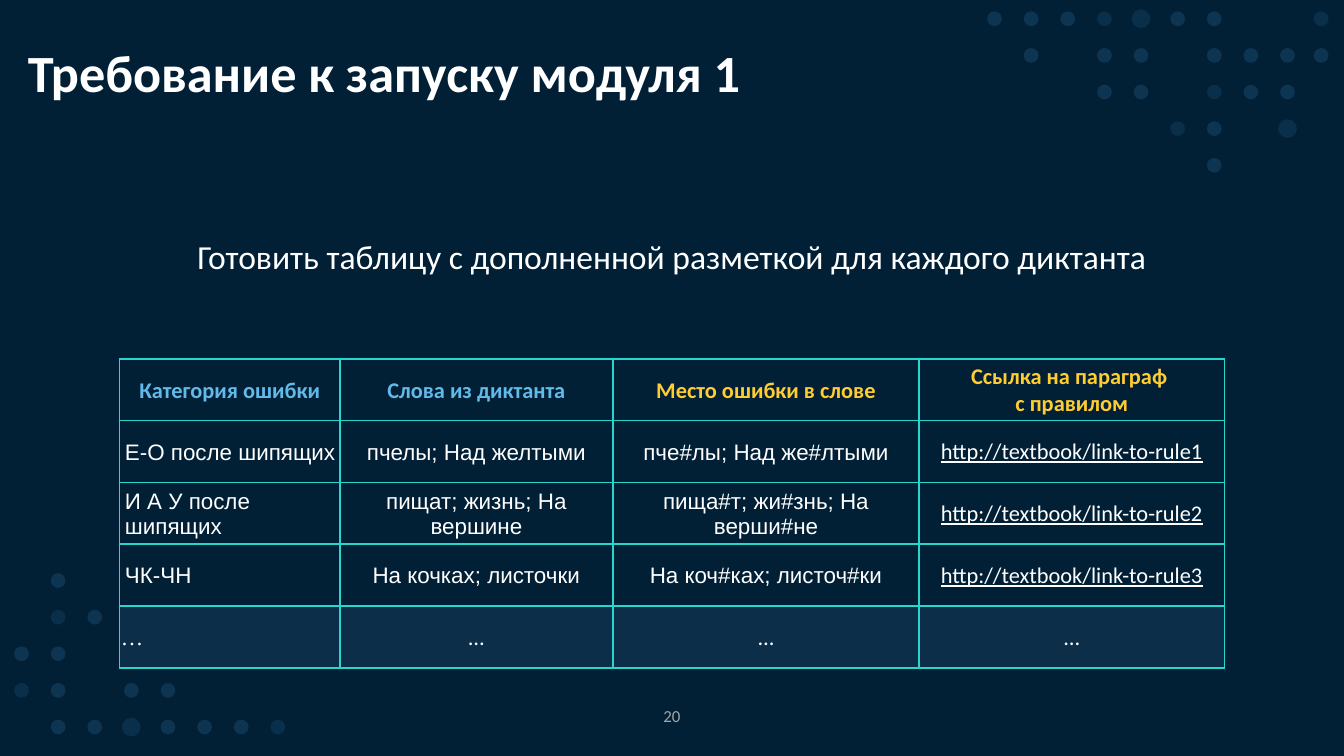
"""Build the slide on the launch requirement of module 1."""
from lxml import etree
from pptx import Presentation
from pptx.dml.color import RGBColor
from pptx.enum.shapes import MSO_SHAPE
from pptx.enum.text import MSO_ANCHOR, PP_ALIGN
from pptx.oxml import parse_xml
from pptx.oxml.ns import nsdecls, qn
from pptx.util import Inches, Pt

OVAL = MSO_SHAPE.OVAL
LEFT, CENTER = PP_ALIGN.LEFT, PP_ALIGN.CENTER
TOP, MIDDLE, BOTTOM = MSO_ANCHOR.TOP, MSO_ANCHOR.MIDDLE, MSO_ANCHOR.BOTTOM

NAVY = RGBColor(0x01, 0x20, 0x36)
BAND = RGBColor(0x0D, 0x2E, 0x49)
DOT = RGBColor(0x5C, 0xB5, 0xFF)
BLUE = RGBColor(0x62, 0xBA, 0xE9)
GOLD = RGBColor(0xFF, 0xCC, 0x32)
WHITE = RGBColor(0xFF, 0xFF, 0xFF)
GRAY = RGBColor(0xA5, 0xA5, 0xA5)
TEAL = RGBColor(0x29, 0xD6, 0xCD)

WIDE = 10
HIGH = WIDE * 9 / 16
LABELS = [
    ("Требование к запуску модуля 1", (0.11, 0.25, 8.43, 0.57), 28, WHITE, True, LEFT, MIDDLE),
    ("Готовить таблицу с дополненной разметкой для каждого диктанта",
     (0.89, 1.71, 8.22, 0.4), 18, WHITE, False, CENTER, TOP),
    ("20", (4.5, 5.2, 1, 0.25), 9, GRAY, False, CENTER, BOTTOM),
]
HEAD = ["Категория ошибки", "Слова из диктанта", "Место ошибки в слове",
        "Ссылка на параграф \vс правилом"]
HUES = [BLUE, BLUE, GOLD, GOLD]
BODY = [
    ["Е-О после шипящих", "пчелы; Над желтыми", "пче#лы; Над же#лтыми",
     "http://textbook/link-to-rule1"],
    ["И А У после шипящих", "пищат; жизнь; На вершине", "пища#т; жи#знь; На верши#не",
     "http://textbook/link-to-rule2"],
    ["ЧК-ЧН", "На кочках; листочки", "На коч#ках; листоч#ки",
     "http://textbook/link-to-rule3"],
    ["…"] * 4,
]
COLS = [1.64, 2.03, 2.28, 2.27]
ROW = 0.46

PITCH, EDGE = 3.67, 9.83
STEP = 1 / PITCH
KINDS = {"o": (0.11, 14), ".": (0.11, 10), "O": (0.14, 10)}
FIELDS = [
    (7.4, 0.14, ["ooo.Ooo--.", "-o-oo-oooo", "---oo-.oo", "-----.o-O", "------o"]),
    (0.16, 4.32, ["-o", "-.o", "oo", ".o-oo", "-ooOooo."]),
]


def style(para, size, color, bold=False, face="Calibri", line=False):
    for run in para.runs:
        font = run.font
        font.name, font.size, font.bold, font.underline = face, Pt(size), bold, line
        font.color.rgb = color


def add_dots(slide, left, top, rows):
    for row, marks in enumerate(rows):
        for col, mark in enumerate(marks):
            if mark not in KINDS:
                continue
            size, alpha = KINDS[mark]
            x = min(left + col * STEP, EDGE) - size / 2
            y = top + row * STEP - size / 2
            dot = slide.shapes.add_shape(OVAL, Inches(x), Inches(y), Inches(size), Inches(size))
            dot.shadow.inherit = False
            dot.line.fill.background()
            dot.fill.solid()
            dot.fill.fore_color.rgb = DOT
            tint = dot._element.spPr.find(".//" + qn("a:srgbClr"))
            etree.SubElement(tint, qn("a:alpha"), val=str(alpha * 1000))


def add_label(slide, text, area, size, color, bold, align, anchor):
    frame = slide.shapes.add_textbox(*map(Inches, area)).text_frame
    frame.word_wrap = True
    frame.vertical_anchor = anchor
    frame.text = text
    frame.paragraphs[0].alignment = align
    style(frame.paragraphs[0], size, color, bold)


def add_borders(cell):
    props = cell._tc.get_or_add_tcPr()
    for side in ("lnL", "lnR", "lnT", "lnB"):
        props.append(parse_xml(
            f'<a:{side} {nsdecls("a")} w="{Pt(1)}"><a:solidFill>'
            f'<a:srgbClr val="{TEAL}"/></a:solidFill></a:{side}>'))


def add_grid(slide):
    rows = [HEAD] + BODY
    last = len(rows) - 1
    table = slide.shapes.add_table(
        len(rows), len(COLS), Inches(0.89), Inches(2.67),
        Inches(sum(COLS)), Inches(ROW * len(rows))).table
    table.first_row = table.horz_banding = False
    for col, width in enumerate(COLS):
        table.columns[col].width = Inches(width)
    for r, texts in enumerate(rows):
        table.rows[r].height = Inches(ROW)
        for c, text in enumerate(texts):
            cell = table.cell(r, c)
            add_borders(cell)
            if r == last:
                cell.fill.solid()
                cell.fill.fore_color.rgb = BAND
            else:
                cell.fill.background()
            inner = 0 < r < last
            cell.margin_left = Inches(0.04 if inner and c == 0 else 0.01)
            cell.margin_right = cell.margin_top = Inches(0.01)
            cell.margin_bottom = 0
            cell.vertical_anchor = MIDDLE
            cell.text_frame.text = text
            para = cell.text_frame.paragraphs[0]
            para.alignment = LEFT if r and c == 0 else CENTER
            link = inner and c == 3
            face = "Arial" if inner and not link else "Calibri"
            if r == last and c == 0:
                face = "Times New Roman"
            style(para, 12, WHITE if r else HUES[c], r == 0, face, link)


def main():
    deck = Presentation()
    deck.slide_width, deck.slide_height = Inches(WIDE), Inches(HIGH)
    slide = deck.slides.add_slide(deck.slide_layouts[6])
    slide.background.fill.solid()
    slide.background.fill.fore_color.rgb = NAVY
    for field in FIELDS:
        add_dots(slide, *field)
    for label in LABELS:
        add_label(slide, *label)
    add_grid(slide)
    deck.save("out.pptx")


if __name__ == "__main__":
    main()
